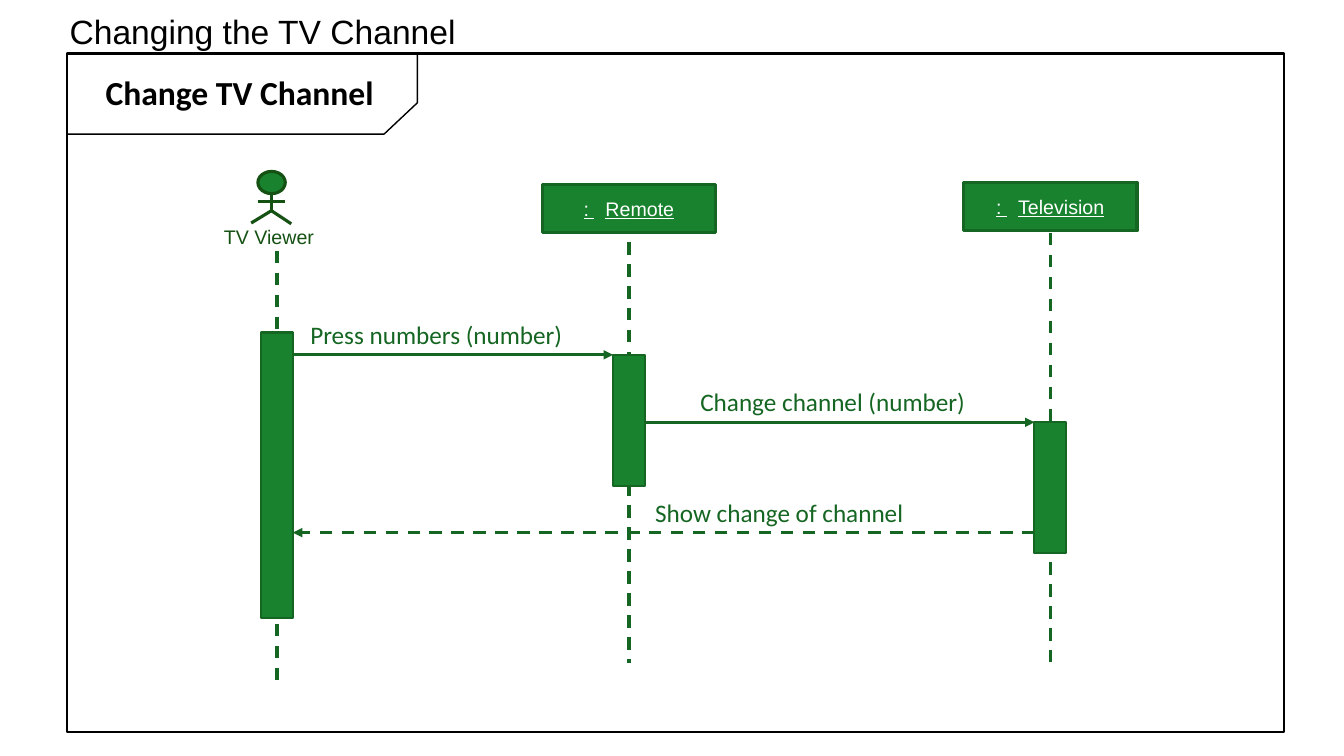
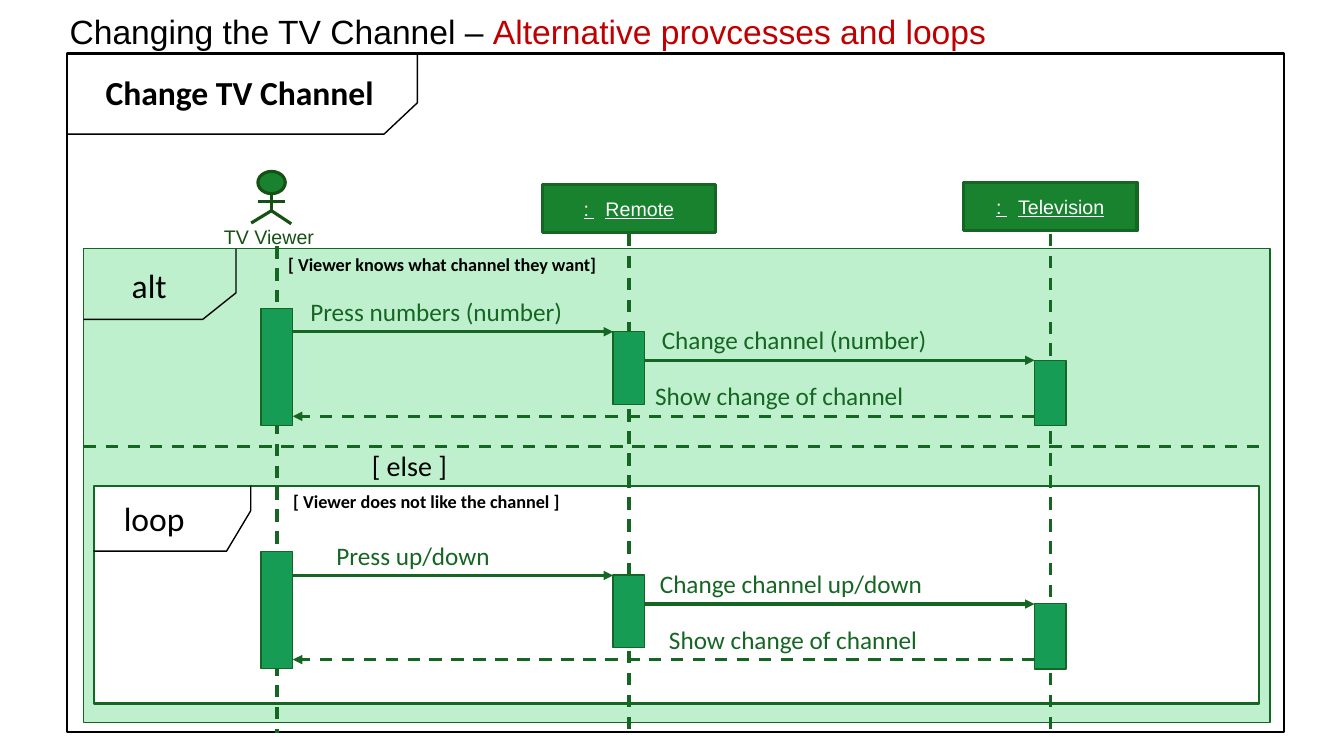
from lxml import etree
from pptx import Presentation
from pptx.dml.color import RGBColor
from pptx.enum.dml import MSO_LINE
from pptx.enum.shapes import MSO_CONNECTOR, MSO_SHAPE
from pptx.enum.text import MSO_ANCHOR, PP_ALIGN
from pptx.oxml.ns import qn
from pptx.util import Cm, Pt

LEFT, CENTER = PP_ALIGN.LEFT, PP_ALIGN.CENTER
MIDDLE = MSO_ANCHOR.MIDDLE
RECTANGLE, OVAL = MSO_SHAPE.RECTANGLE, MSO_SHAPE.OVAL
STRAIGHT, DASH = MSO_CONNECTOR.STRAIGHT, MSO_LINE.DASH

COLORS = {"ink": "000000", "white": "FFFFFF", "accent": "C00000",
          "green": "18822E", "line": "166623", "dark": "145113",
          "bar": "179C55", "pale": "BEF0CD"}

# Text formats: font settings plus a colour key
TITLE = {"name": "Arial", "size": Pt(24), "color": "ink"}
TITLE_ACCENT = {**TITLE, "color": "accent"}
FRAME_NAME = {"name": "Calibri", "size": Pt(24), "bold": True, "color": "ink"}
FRAGMENT_NAME = {**FRAME_NAME, "bold": False}
GUARD = {**FRAME_NAME, "size": Pt(13)}
ELSE = {**FRAGMENT_NAME, "size": Pt(20)}
MESSAGE = {"name": "Calibri", "size": Pt(18), "color": "line"}
OBJECT = {"name": "Arial", "size": Pt(14), "underline": True, "color": "white"}
ACTOR = {"name": "Arial", "size": Pt(14), "color": "dark"}

# All positions and sizes below are in centimetres
LIFELINE_X = {"viewer": 6.98, "remote": 15.85, "tv": 26.47}
OBJECTS = [("remote", "Remote", 4.65), ("tv", "Television", 4.6)]
OBJECT_SIZE = (4.37, 1.22)
BAR_WIDTH = 0.8
MESSAGE_RISE = 1.02
STICK_FIGURE = [((6.84, 4.88), (6.84, 5.31)), ((6.5, 5.08), (7.19, 5.08)),
                ((6.84, 5.31), (6.33, 5.62)), ((6.84, 5.31), (7.34, 5.64))]

# tab: width, height, bevel width, bevel height
FRAME = {"name": "Change TV Channel", "format": FRAME_NAME, "at": (1.68, 1.35, 30.68, 17.09),
         "tab": (8.84, 2.03, 0.84, 0.79), "label": (2.41, 1.68, 7.8, 1.28),
         "fill": None, "line": "ink", "weight": 1.5}
ALT = {"name": "alt", "format": FRAGMENT_NAME, "at": (2.11, 6.27, 29.9, 11.94),
       "tab": (3.84, 1.78, 0.84, 0.67), "label": (3.07, 6.55, 2.6, 1.28),
       "fill": "pale", "line": "line", "weight": 1}
LOOP = {"name": "loop", "format": FRAGMENT_NAME, "at": (2.36, 12.24, 29.36, 5.49),
        "tab": (3.96, 1.65, 0.61, 1.02), "label": (2.87, 12.42, 2.6, 1.28),
        "fill": "white", "line": "line", "weight": 1.5}

# bars: participant, top, height; messages: sender, receiver, y, text, text left
ALT_BARS = [("viewer", 7.77, 2.95), ("remote", 8.36, 1.83), ("tv", 9.08, 1.65)]
LOOP_DROP = 6.13
SLIDES = [
    {"title": [("Changing the TV Channel", TITLE)],
     "frames": [FRAME], "separators": [], "guards": [],
     "lifelines": {"viewer": (6.32, 17.37), "remote": (6.1, 16.71), "tv": (5.87, 16.71)},
     "bar_style": ("green", "line", 1.5),
     "bars": [("viewer", 8.38, 7.19), ("remote", 8.94, 3.3), ("tv", 10.64, 3.3)],
     "messages": [("viewer", "remote", 8.94, "Press numbers (number)", 7.57),
                  ("remote", "tv", 10.64, "Change channel (number)", 17.4),
                  ("tv", "viewer", 13.42, "Show change of channel", 16.26)]},
    {"title": [("Changing the TV Channel – ", TITLE),
               ("Alternative provcesses and loops", TITLE_ACCENT)],
     "frames": [ALT, FRAME, LOOP],
     "separators": [((2.11, 11.25), (31.98, 11.25))],
     "guards": [("[ Viewer knows what channel they want]", GUARD, (7.01, 6.27, 9.4, 0.81)),
                ("[ Viewer does not like the channel ]", GUARD, (7.14, 12.24, 9, 0.81)),
                ("[ else ]", ELSE, (9.12, 11.18, 2.9, 1.12))],
     "lifelines": {"viewer": (6.2, 18.47), "remote": (5.89, 18.47), "tv": (5.89, 18.47)},
     "bar_style": ("bar", "line", 1),
     "bars": ALT_BARS + [(who, top + LOOP_DROP, height) for who, top, height in ALT_BARS],
     "messages": [("viewer", "remote", 8.36, "Press numbers (number)", 7.57),
                  ("remote", "tv", 9.08, "Change channel (number)", 16.43),
                  ("tv", "viewer", 10.49, "Show change of channel", 16.26),
                  ("viewer", "remote", 14.5, "Press up/down", 8.23),
                  ("remote", "tv", 15.22, "Change channel up/down", 16.38),
                  ("tv", "viewer", 16.62, "Show change of channel", 16.61)]},
]


def rgb(key):
    return RGBColor.from_string(COLORS[key])


def cm(values):
    return [Cm(value) for value in values]


def add_span(para, text, style):
    span = para.add_run()
    span.text = text
    for name, value in style.items():
        if name == "color":
            span.font.color.rgb = rgb(value)
        else:
            setattr(span.font, name, value)
    return span


def add_text(page, text, style, at, align=LEFT):
    box = page.shapes.add_textbox(*cm(at))
    box.text_frame.word_wrap = True
    para = box.text_frame.paragraphs[0]
    para.alignment = align
    add_span(para, text, style)


def paint(shape, fill, line, weight):
    shape.shadow.inherit = False
    if fill:
        shape.fill.solid()
        shape.fill.fore_color.rgb = rgb(fill)
    else:
        shape.fill.background()
    shape.line.color.rgb = rgb(line)
    shape.line.width = Pt(weight)


def add_block(page, kind, at, fill, line, weight):
    shape = page.shapes.add_shape(kind, *cm(at))
    paint(shape, fill, line, weight)
    return shape


def add_line(page, start, end, color="line", dashed=False, arrow=False):
    connector = page.shapes.add_connector(STRAIGHT, *cm(start + end))
    connector.line.color.rgb = rgb(color)
    connector.line.width = Pt(2.25)
    if dashed:
        connector.line.dash_style = DASH
    properties = connector._element.spPr
    if arrow:
        etree.SubElement(properties.find(qn("a:ln")), qn("a:tailEnd"), type="triangle")
    etree.SubElement(properties, qn("a:effectLst"))


def add_frame(page, frame):
    """Draw a fragment frame with its bevelled name tab."""
    add_block(page, RECTANGLE, frame["at"], frame["fill"], frame["line"], frame["weight"])
    left, top = frame["at"][:2]
    width, height, bevel_x, bevel_y = frame["tab"]
    right, bottom = left + width, top + height
    outline = page.shapes.build_freeform(Cm(left), Cm(bottom))
    corners = [(right - bevel_x, bottom), (right, bottom - bevel_y), (right, top)]
    outline.add_line_segments([cm(corner) for corner in corners], close=False)
    paint(outline.convert_to_shape(), None, "ink", 1)
    add_text(page, frame["name"], frame["format"], frame["label"])


def add_message(page, sender, receiver, y, text, text_left):
    start, end = LIFELINE_X[sender], LIFELINE_X[receiver]
    is_reply = end < start
    edge = -BAR_WIDTH / 2 if is_reply else BAR_WIDTH / 2
    add_line(page, (start + edge, y), (end - edge, y), dashed=is_reply, arrow=True)
    add_text(page, text, MESSAGE, (text_left, y - MESSAGE_RISE, 7.32, 1.03))


def add_participants(page):
    width, height = OBJECT_SIZE
    for who, name, top in OBJECTS:
        at = (LIFELINE_X[who] - width / 2, top, width, height)
        box = add_block(page, RECTANGLE, at, "green", "line", 2.25)
        box.text_frame.vertical_anchor = MIDDLE
        para = box.text_frame.paragraphs[0]
        para.alignment = CENTER
        add_span(para, ":", OBJECT)
        gap = add_span(para, " ", OBJECT)
        gap._r.get_or_add_rPr().set("spc", "780")
        add_span(para, name, OBJECT)
    add_block(page, OVAL, (6.5, 4.32, 0.69, 0.56), "green", "dark", 2.25)
    for start, end in STICK_FIGURE:
        add_line(page, start, end, "dark")
    add_text(page, "TV Viewer", ACTOR, (5.23, 5.54, 3.1, 0.86), CENTER)


def add_slide(deck, layout, content):
    page = deck.slides.add_slide(layout)
    para = page.shapes.title.text_frame.paragraphs[0]
    para.alignment = LEFT
    for text, style in content["title"]:
        add_span(para, text, style)
    for frame in content["frames"]:
        add_frame(page, frame)
    for start, end in content["separators"]:
        add_line(page, start, end, dashed=True)
    for guard in content["guards"]:
        add_text(page, *guard)
    for who, (top, bottom) in content["lifelines"].items():
        add_line(page, (LIFELINE_X[who], top), (LIFELINE_X[who], bottom), dashed=True)
    for who, top, height in content["bars"]:
        at = (LIFELINE_X[who] - BAR_WIDTH / 2, top, BAR_WIDTH, height)
        add_block(page, RECTANGLE, at, *content["bar_style"])
    for message in content["messages"]:
        add_message(page, *message)
    add_participants(page)


def main():
    deck = Presentation()
    deck.slide_width, deck.slide_height = Cm(33.87), Cm(19.05)
    layout = deck.slide_layouts.get_by_name("Title Only")
    title = layout.placeholders[0]
    title.left, title.top, title.width, title.height = cm((1.5, 0.15, 30, 1.28))
    for content in SLIDES:
        add_slide(deck, layout, content)
    deck.save("out.pptx")


if __name__ == "__main__":
    main()
